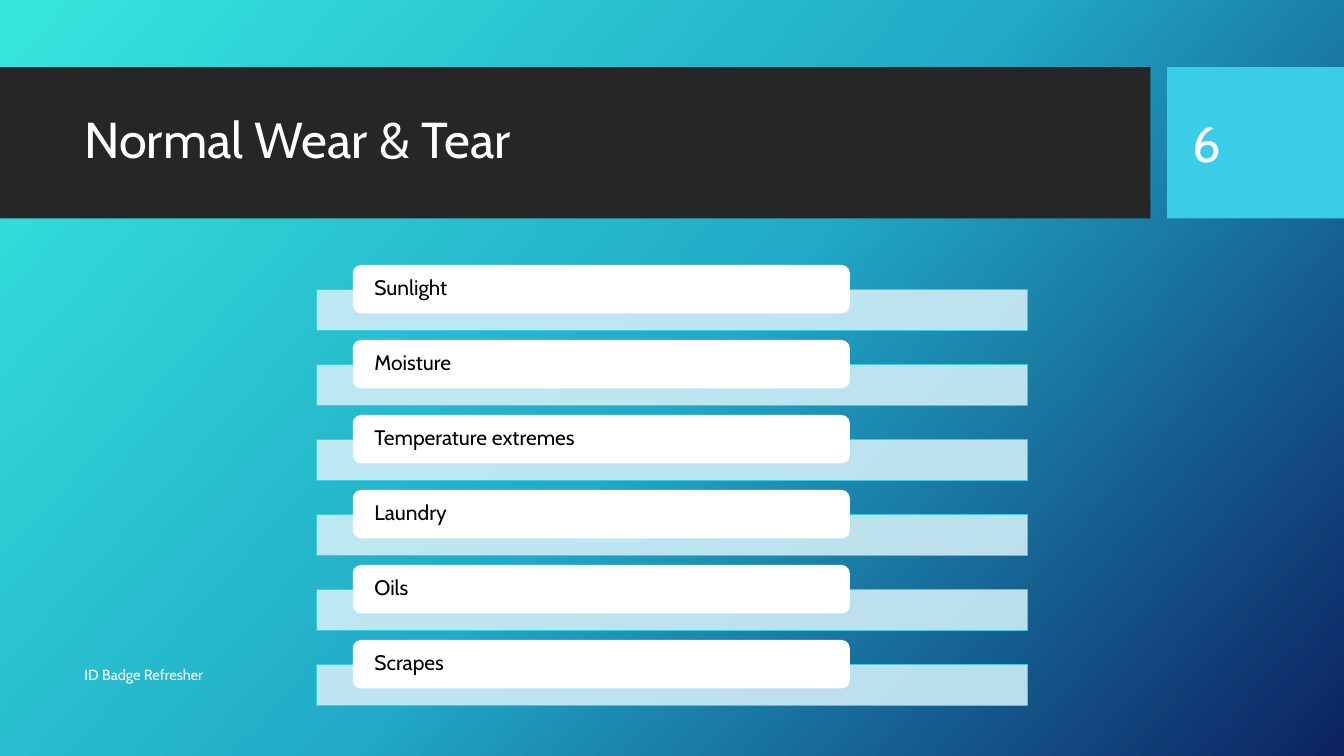
from copy import deepcopy
from dataclasses import dataclass
from lxml.etree import SubElement
from pptx import Presentation
from pptx.dml.color import RGBColor
from pptx.enum.shapes import MSO_SHAPE
from pptx.enum.text import MSO_ANCHOR, PP_ALIGN
from pptx.oxml.ns import qn
from pptx.util import Inches, Pt


@dataclass(frozen=True)
class Theme:
    font: str = "Cabin"
    dark: str = "262626"
    cyan: str = "39CDE7"
    pale: str = "CEEDF6"
    white: str = "FFFFFF"
    black: str = "000000"
    sweep: tuple = ((0, "36E6DD"), (0.5, "21ABC8"), (1, "0C2263"))
    angle: int = 42
    head: float = 36
    item: float = 15
    foot: float = 10.5


class Deck:
    """Draws styled parts on one slide, with boxes in percent of its size."""

    def __init__(self, theme):
        self.theme = theme
        self.show = Presentation()
        self.show.slide_width = Inches(13.33)
        self.show.slide_height = Inches(7.5)
        self.slide = self.show.slides.add_slide(self.show.slide_layouts[6])

    def place(self, box):
        wide, high = self.show.slide_width, self.show.slide_height
        return [int(part * side / 100) for part, side in zip(box, (wide, high) * 2)]

    def backdrop(self):
        fill = self.slide.background.fill
        fill.gradient()
        fill.gradient_angle = 360 - self.theme.angle
        stops = self.slide.element.xpath(".//a:gsLst")[0]
        stops.append(deepcopy(stops[-1]))
        for stop, (spot, color) in zip(fill.gradient_stops, self.theme.sweep):
            stop.position = spot
            stop.color.rgb = RGBColor.from_string(color)

    def block(self, box, color, kind=MSO_SHAPE.RECTANGLE, edge=None, alpha=None):
        shape = self.slide.shapes.add_shape(kind, *self.place(box))
        shape.shadow.inherit = False
        shape.fill.solid()
        shape.fill.fore_color.rgb = RGBColor.from_string(color)
        if edge:
            shape.line.color.rgb = RGBColor.from_string(edge)
            shape.line.width = Pt(0.75)
        else:
            shape.line.fill.background()
        if alpha:
            tint = shape.element.spPr.find(qn("a:solidFill"))[0]
            SubElement(tint, qn("a:alpha"), val=str(alpha * 1000))
        return shape

    def letter(self, shape, words, size, color, lead=1.0, after=0):
        frame = shape.text_frame
        frame.word_wrap = True
        frame.vertical_anchor = MSO_ANCHOR.MIDDLE
        para = frame.paragraphs[0]
        para.alignment = PP_ALIGN.LEFT
        para.line_spacing = lead
        para.space_after = Pt(after)
        run = para.add_run()
        run.text = words
        run.font.name = self.theme.font
        run.font.size = Pt(size)
        run.font.color.rgb = RGBColor.from_string(color)
        return frame

    def label(self, box, words, size, lead=1.0):
        shape = self.slide.shapes.add_textbox(*self.place(box))
        self.letter(shape, words, size, self.theme.white, lead)

    def entry(self, top, words):
        look = self.theme
        self.block((23.55, top + 3.2, 52.88, 5.47), look.pale, edge=look.cyan, alpha=90)
        pill = self.block((26.25, top, 36.98, 6.4), look.white, MSO_SHAPE.ROUNDED_RECTANGLE)
        frame = self.letter(pill, words, look.item, look.black, 0.9, 5.25)
        frame.margin_left = frame.margin_right = Inches(0.19)
        frame.margin_top = frame.margin_bottom = 0

    def save(self):
        self.show.save("out.pptx")


def main():
    look = Theme()
    deck = Deck(look)
    deck.backdrop()
    deck.block((0, 8.9, 85.6, 20), look.dark)
    deck.block((86.85, 8.9, 13.15, 20), look.cyan)
    deck.label((5.55, 10.93, 78.83, 15.73), "Normal Wear & Tear", look.head, 0.9)
    causes = ("Sunlight", "Moisture", "Temperature extremes", "Laundry", "Oils", "Scrapes")
    for row, cause in enumerate(causes):
        deck.entry(35.05 + 9.92 * row, cause)
    deck.label((5.55, 86.53, 56.33, 5.33), "ID Badge Refresher", look.foot)
    deck.label((87.98, 10.93, 9.45, 15.87), "6", look.head)
    deck.save()


if __name__ == "__main__":
    main()
